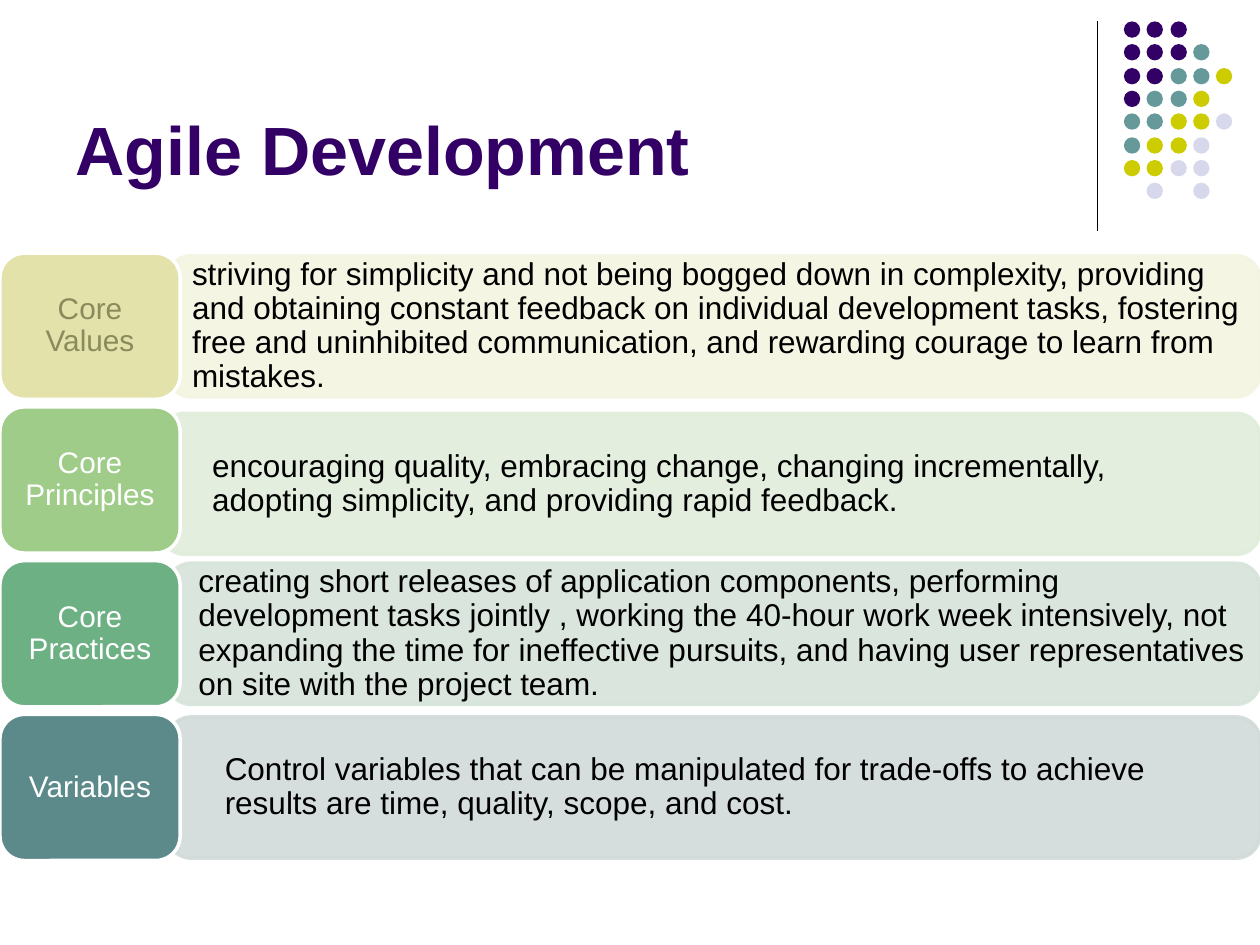
from dataclasses import dataclass

from lxml import etree
from pptx import Presentation
from pptx import util as u
from pptx.dml.color import RGBColor
from pptx.enum import shapes, text
from pptx.oxml.ns import qn

PX = 9144  # EMU in one px, 100 px to the inch
FONT = "Arial"

BLACK = RGBColor(0x00, 0x00, 0x00)
WHITE = RGBColor(0xFF, 0xFF, 0xFF)
OLIVE = RGBColor(0x8A, 0x8A, 0x5C)
PURPLE = RGBColor(0x33, 0x00, 0x66)
TEAL = RGBColor(0x66, 0x99, 0x99)
LIME = RGBColor(0xCC, 0xCC, 0x00)
LILAC = RGBColor(0xD8, 0xD8, 0xEC)

DOTS = ("PPP", "PPPT", "PPTTL", "PTTL", "TTLLW", "TLLW", "LLWW", " W W")
HUES = {"P": PURPLE, "T": TEAL, "L": LIME, "W": LILAC}

TOP, STEP = 201, 122  # first label and the distance between labels
ROUND = 6  # text inset that a rounded corner adds by itself


@dataclass
class Row:
    label: str
    body: str
    dark: RGBColor
    pale: RGBColor
    left: int
    top: int
    pad: int
    indent: int
    ink: RGBColor = WHITE


ROWS = (
    Row("Core Values",
        "striving for simplicity and not being bogged down in complexity, "
        "providing and obtaining constant feedback on individual development "
        "tasks, fostering free and uninhibited communication, and rewarding "
        "courage to learn from mistakes.",
        RGBColor(0xE2, 0xE2, 0xAA), RGBColor(0xF4, 0xF4, 0xE2),
        133, 203, 12, 8, OLIVE),  # white is too faint on this fill
    Row("Core Principles",
        "encouraging quality, embracing change, changing incrementally, "
        "adopting simplicity, and providing rapid feedback.",
        RGBColor(0x9F, 0xCC, 0x89), RGBColor(0xE1, 0xED, 0xDB),
        128, 328, 33, 8),
    Row("Core Practices",
        "creating short releases of application components, performing "
        "development tasks jointly , working the 40-hour work week "
        "intensively, not expanding the time for ineffective pursuits, and "
        "having user representatives on site with the project team.",
        RGBColor(0x6D, 0xB0, 0x84), RGBColor(0xD6, 0xE4, 0xDA),
        133, 447, 12, 13),
    Row("Variables",
        "Control variables that can be manipulated for trade-offs to achieve "
        "results are time, quality, scope, and cost.",
        RGBColor(0x5C, 0x8A, 0x8A), RGBColor(0xD2, 0xDA, 0xDA),
        133, 569, 33, 13),
)


def px(*nums: int) -> list[u.Emu]:
    return [u.Emu(n * PX) for n in nums]


def write(para, words: str, size: int, color: RGBColor, bold: bool = False) -> None:
    run = para.add_run()
    run.text = words
    font = run.font
    font.name, font.size, font.bold = FONT, u.Pt(size), bold
    font.color.rgb = color


def fade(shape, share: int) -> None:
    """Make the fill and line of a shape opaque by the given percentage."""
    for tone in shape._element.spPr.iter(qn("a:srgbClr")):
        etree.SubElement(tone, qn("a:alpha")).set("val", str(share * 1000))


def draw_box(slide, place: tuple, fill: RGBColor, line: RGBColor):
    box = slide.shapes.add_shape(shapes.MSO_SHAPE.ROUNDED_RECTANGLE, *px(*place))
    box.shadow.inherit = False
    box.fill.solid()
    box.fill.fore_color.rgb = fill
    box.line.color.rgb = line
    box.line.width = u.Pt(2)
    return box


def fill_text(box, words: str, size: int, color: RGBColor, align, pads: tuple) -> None:
    """Write one paragraph; pads are left, top, right and bottom insets."""
    frame = box.text_frame
    frame.word_wrap = True
    frame.vertical_anchor = text.MSO_ANCHOR.MIDDLE
    (frame.margin_left, frame.margin_top,
     frame.margin_right, frame.margin_bottom) = px(*(p - ROUND for p in pads))
    para = frame.paragraphs[0]
    para.alignment = align
    para.line_spacing = 0.9
    write(para, words, size, color)


def draw_row(slide, row: Row, index: int) -> None:
    body = draw_box(slide, (row.left, row.top, 1000 - row.left, 112),
                    row.pale, row.pale)
    fade(body, 90)
    fill_text(body, row.body, 18, BLACK, text.PP_ALIGN.LEFT,
              (row.pad + row.indent, 19, row.pad - 2, 19))
    label = draw_box(slide, (0, TOP + index * STEP, 143, 116), row.dark, WHITE)
    fill_text(label, row.label, 17, row.ink, text.PP_ALIGN.CENTER, (13, 9, 13, 9))


def draw_dots(slide) -> None:
    for r, marks in enumerate(DOTS):
        for c, mark in enumerate(marks):
            if mark not in HUES:
                continue
            place = px(892 + round(c * 18.3), 17 + round(r * 18.3), 13, 13)
            dot = slide.shapes.add_shape(shapes.MSO_SHAPE.OVAL, *place)
            dot.shadow.inherit = False
            dot.fill.solid()
            dot.fill.fore_color.rgb = HUES[mark]
            dot.line.fill.background()


def draw_rule(slide) -> None:
    rule = slide.shapes.add_connector(shapes.MSO_CONNECTOR.STRAIGHT,
                                      *px(871, 17, 871, 183))
    rule.line.color.rgb = BLACK
    rule.line.width = u.Pt(0.75)
    etree.SubElement(rule._element.spPr, qn("a:effectLst"))


def set_title(slide) -> None:
    title = slide.shapes.title
    title.left, title.top, title.width, title.height = px(50, 13, 825, 142)
    frame = title.text_frame
    frame.auto_size = text.MSO_AUTO_SIZE.NONE
    frame.vertical_anchor = text.MSO_ANCHOR.BOTTOM
    para = frame.paragraphs[0]
    para.alignment = text.PP_ALIGN.LEFT
    write(para, "Agile Development", 39, PURPLE, bold=True)


def main() -> None:
    deck = Presentation()
    deck.slide_width, deck.slide_height = px(1000, 750)
    slide = deck.slides.add_slide(deck.slide_layouts[5])
    draw_rule(slide)
    draw_dots(slide)
    set_title(slide)
    for index, row in enumerate(ROWS):
        draw_row(slide, row, index)
    deck.save("out.pptx")


if __name__ == "__main__":
    main()
